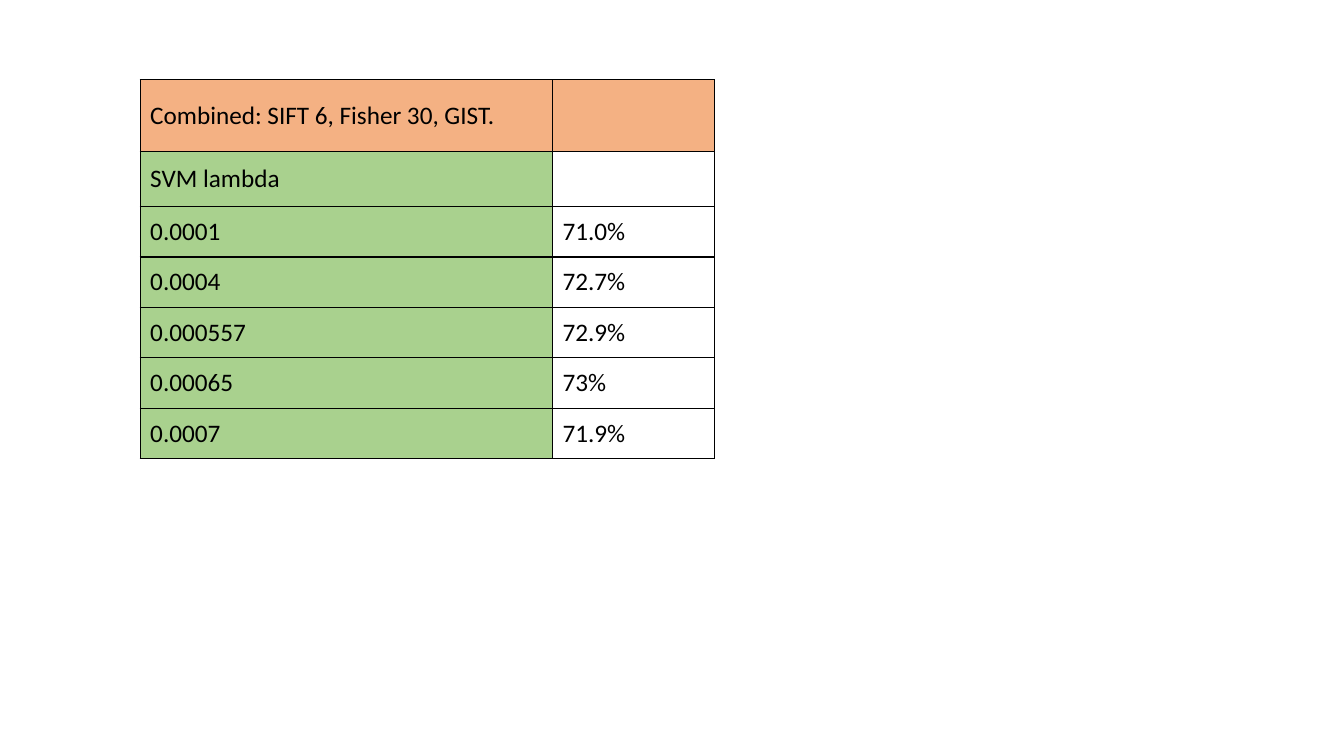
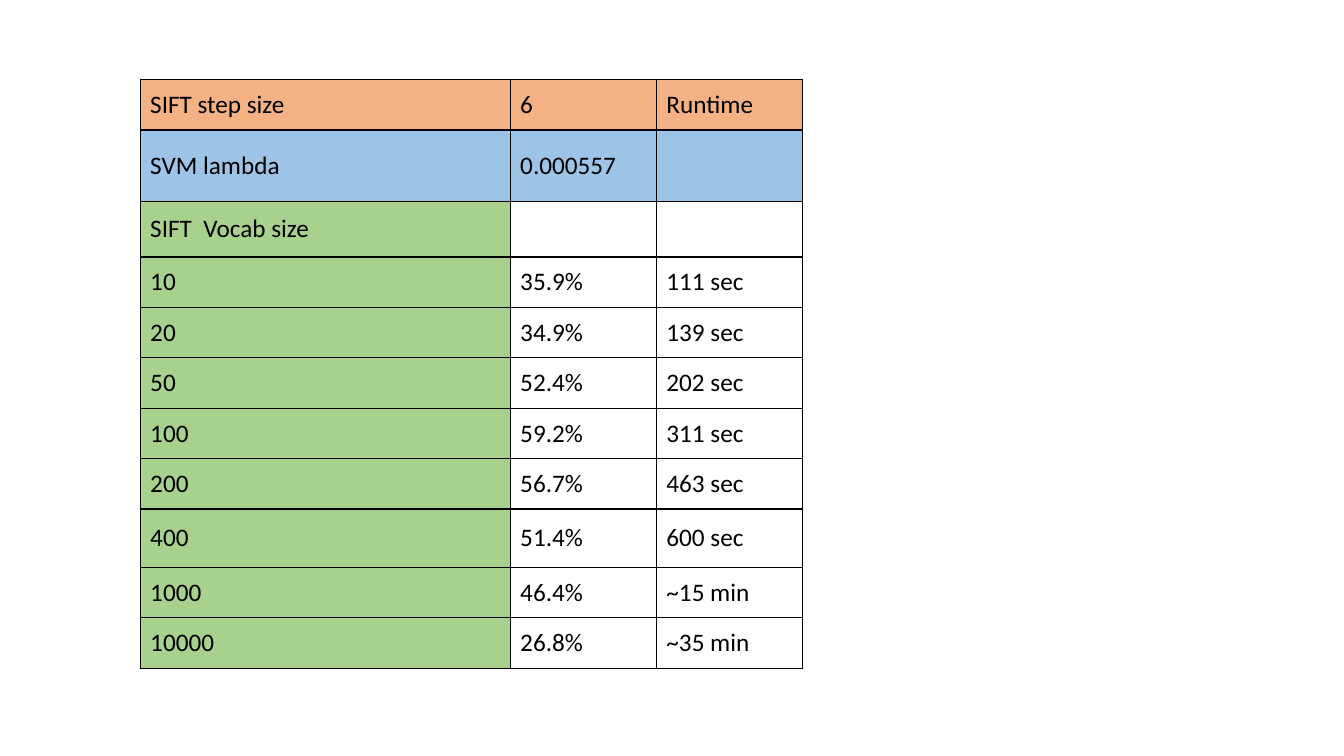
from dataclasses import dataclass
from lxml.etree import SubElement as Sub
from pptx import Presentation as Deck
from pptx.dml.color import RGBColor as RGB
from pptx.enum.text import MSO_ANCHOR as Anchor
from pptx.oxml import parse_xml
from pptx.oxml.ns import nsdecls, qn
from pptx.util import Inches, Pt


# Shared colours, type and table place
@dataclass(frozen=True)
class Theme:
    ink: str = "000000"
    head: str = "F4B183"
    param: str = "9DC3E6"
    label: str = "A9D18E"
    font: str = "Calibri"
    size: int = 18
    rule: int = 1
    left: float = 1.39
    top: float = 0.79
    row: float = 0.5


class Maker:
    def __init__(self, theme):
        self.theme = theme
        self.deck = Deck()
        self.deck.slide_width = Inches(13.33)
        self.deck.slide_height = Inches(7.5)
        self.slide = None

    def page(self):
        self.slide = self.deck.slides.add_slide(self.deck.slide_layouts[6])

    def border(self, cell):
        props = cell._tc.get_or_add_tcPr()
        for pos, side in enumerate("LRTB"):
            line = parse_xml(f'<a:ln{side} {nsdecls("a")}/>')
            line.set("w", str(Pt(self.theme.rule)))
            fill = Sub(line, qn("a:solidFill"))
            Sub(fill, qn("a:srgbClr"), val=self.theme.ink)
            props.insert(pos, line)

    def cell(self, cell, text, fill):
        style = self.theme
        cell.vertical_anchor = Anchor.MIDDLE
        if fill:
            cell.fill.solid()
            cell.fill.fore_color.rgb = RGB.from_string(fill)
        else:
            cell.fill.background()
        self.border(cell)
        if text:
            run = cell.text_frame.paragraphs[0].add_run()
            run.text = text
            look = {"name": style.font, "size": Pt(style.size), "bold": False}
            for key, value in look.items():
                setattr(run.font, key, value)
            run.font.color.rgb = RGB.from_string(style.ink)

    def table(self, rows, widths, bands, tall):
        """Bands colour whole top rows; tall maps a row to its height."""
        style = self.theme
        highs = [tall.get(i, style.row) for i in range(len(rows))]
        sizes = (style.left, style.top, sum(widths), sum(highs))
        frame = self.slide.shapes.add_table(
            len(rows), len(widths), *map(Inches, sizes))
        grid = frame.table
        for flag in ("first_row", "horz_banding"):
            setattr(grid, flag, False)
        for col, width in zip(grid.columns, widths):
            col.width = Inches(width)
        for i, (row, high) in enumerate(zip(rows, highs)):
            grid.rows[i].height = Inches(high)
            for j, text in enumerate(row):
                plain = style.label if j == 0 else None
                fill = bands[i] if i < len(bands) else plain
                self.cell(grid.cell(i, j), text, fill)


theme = Theme()
maker = Maker(theme)

# Accuracy by SVM lambda
maker.page()
maker.table(
    [("Combined: SIFT 6, Fisher 30, GIST.", ""),
     ("SVM lambda", ""),
     ("0.0001", "71.0%"),
     ("0.0004", "72.7%"),
     ("0.000557", "72.9%"),
     ("0.00065", "73%"),
     ("0.0007", "71.9%")],
    widths=(4.09, 1.61), bands=(theme.head,), tall={0: 0.71, 1: 0.55})

# Accuracy and runtime by vocab size
maker.page()
maker.table(
    [("SIFT step size", "6", "Runtime"),
     ("SVM lambda", "0.000557", ""),
     ("SIFT  Vocab size", "", ""),
     ("10", "35.9%", "111 sec"),
     ("20", "34.9%", "139 sec"),
     ("50", "52.4%", "202 sec"),
     ("100", "59.2%", "311 sec"),
     ("200", "56.7%", "463 sec"),
     ("400", "51.4%", "600 sec"),
     ("1000", "46.4%", "~15 min"),
     ("10000", "26.8%", "~35 min")],
    widths=(3.67, 1.45, 1.45), bands=(theme.head, theme.param),
    tall={1: 0.71, 2: 0.55, 8: 0.58})

maker.deck.save("out.pptx")
